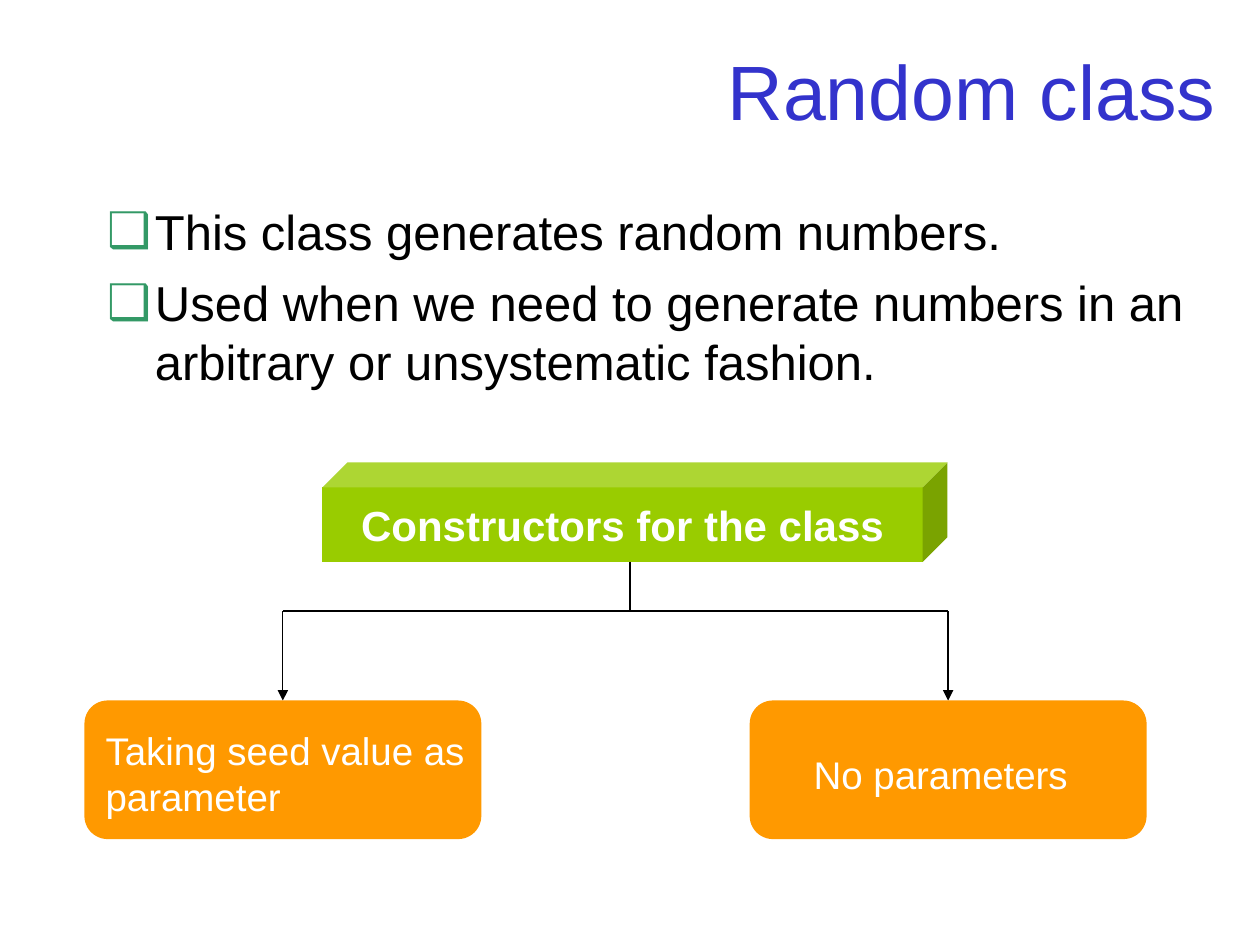
from lxml import etree
from pptx import Presentation
from pptx import util as u
from pptx.dml.color import RGBColor
from pptx.enum import shapes, text
from pptx.oxml.ns import qn

COLUMNS, ROWS = 100, 75


def color(value):
    return RGBColor.from_string(value)


def add_element(parent, tag, **attributes):
    return etree.SubElement(parent, qn(tag), **attributes)


class SlideBuilder:
    """Draws on one slide; every box is (left, top, width, height) in grid units."""

    font = "Arial"
    ink, white = "000000", "FFFFFF"
    title_color, bullet_color = "3333CC", "339966"
    root_color, branch_color = "99CC00", "FF9900"

    def __init__(self, presentation):
        self.column = presentation.slide_width / COLUMNS
        self.row = presentation.slide_height / ROWS
        self.slide = presentation.slides.add_slide(presentation.slide_layouts[1])

    def scale(self, box):
        units = (self.column, self.row) * 2
        return [u.Emu(round(value * unit)) for value, unit in zip(box, units)]

    def place(self, shape, box):
        shape.left, shape.top, shape.width, shape.height = self.scale(box)

    def add_words(self, paragraph, words, size, ink, align=text.PP_ALIGN.LEFT, bold=False):
        paragraph.alignment = align
        run = paragraph.add_run()
        run.text = words
        run.font.name, run.font.size, run.font.bold = self.font, u.Pt(size), bold
        run.font.color.rgb = color(ink)

    def title(self, words, box):
        shape = self.slide.shapes.title
        self.place(shape, box)
        frame = shape.text_frame
        frame.auto_size = text.MSO_AUTO_SIZE.NONE
        frame.vertical_anchor = text.MSO_ANCHOR.MIDDLE
        self.add_words(frame.paragraphs[0], words, 44, self.title_color, text.PP_ALIGN.RIGHT)

    def bullets(self, items, box):
        shape = self.slide.placeholders[1]
        self.place(shape, box)
        frame = shape.text_frame
        frame.auto_size = text.MSO_AUTO_SIZE.NONE
        for index, item in enumerate(items):
            paragraph = frame.add_paragraph() if index else frame.paragraphs[0]
            indent = u.Inches(0.38)
            properties = paragraph._p.get_or_add_pPr()
            properties.set("marL", str(indent))
            properties.set("indent", str(-indent))
            bullet = add_element(properties, "a:buClr")
            add_element(bullet, "a:srgbClr", val=self.bullet_color)
            add_element(properties, "a:buFont", typeface=self.font)
            add_element(properties, "a:buChar", char="❑")
            paragraph.space_before = u.Pt(7 if index else 0)
            self.add_words(paragraph, item, 28, self.ink)

    def block(self, kind, box, fill, adjustment):
        shape = self.slide.shapes.add_shape(kind, *self.scale(box))
        shape.adjustments[0] = adjustment
        shape.shadow.inherit = False
        shape.fill.solid()
        shape.fill.fore_color.rgb = color(fill)
        shape.line.fill.background()
        return shape

    def root(self, words, box):
        frame = self.block(shapes.MSO_SHAPE.CUBE, box, self.root_color, 0.25).text_frame
        frame.word_wrap = False
        frame.vertical_anchor = text.MSO_ANCHOR.MIDDLE
        self.add_words(frame.paragraphs[0], words, 24, self.white, text.PP_ALIGN.CENTER, True)

    def branch(self, words, box, label_box):
        self.block(shapes.MSO_SHAPE.ROUNDED_RECTANGLE, box, self.branch_color, 0.167)
        frame = self.slide.shapes.add_textbox(*self.scale(label_box)).text_frame
        frame.word_wrap = True
        self.add_words(frame.paragraphs[0], words, 22, self.white)

    def line(self, start, end, arrow=False):
        connector = self.slide.shapes.add_connector(
            shapes.MSO_CONNECTOR.STRAIGHT, *self.scale(start + end))
        connector.line.color.rgb = color(self.ink)
        connector.line.width = u.Pt(0.75)
        properties = connector._element.spPr
        if arrow:
            add_element(properties.find(qn("a:ln")), "a:tailEnd", type="triangle")
        add_element(properties, "a:effectLst")


def main():
    presentation = Presentation()
    presentation.slide_width, presentation.slide_height = u.Inches(10), u.Inches(7.5)
    builder = SlideBuilder(presentation)

    builder.title("Random class", (7.5, 2.8, 90, 8.7))
    builder.bullets(
        ["This class generates random numbers.",
         "Used when we need to generate numbers in an arbitrary or unsystematic fashion."],
        (7.5, 15.5, 89, 16.5))

    root_top, root_height, bus, branch_top = 36.7, 7.9, 48.5, 55.6
    branch_width, branch_height = 31.5, 11
    branches = [
        ("Taking seed value as parameter", 6.7, (7.4, 57.2, 31.5, 8.4)),
        ("No parameters", 59.5, (63.6, 59.1, 24.4, 4.7)),
    ]
    centers = [left + branch_width / 2 for _, left, _ in branches]

    builder.root("Constructors for the class", (25.6, root_top, 49.6, root_height))
    builder.line((50, root_top + root_height), (50, bus))
    builder.line((centers[0], bus), (centers[-1], bus))
    for center, (words, left, label_box) in zip(centers, branches):
        builder.line((center, bus), (center, branch_top), arrow=True)
        builder.branch(words, (left, branch_top, branch_width, branch_height), label_box)

    presentation.save("out.pptx")


if __name__ == "__main__":
    main()
